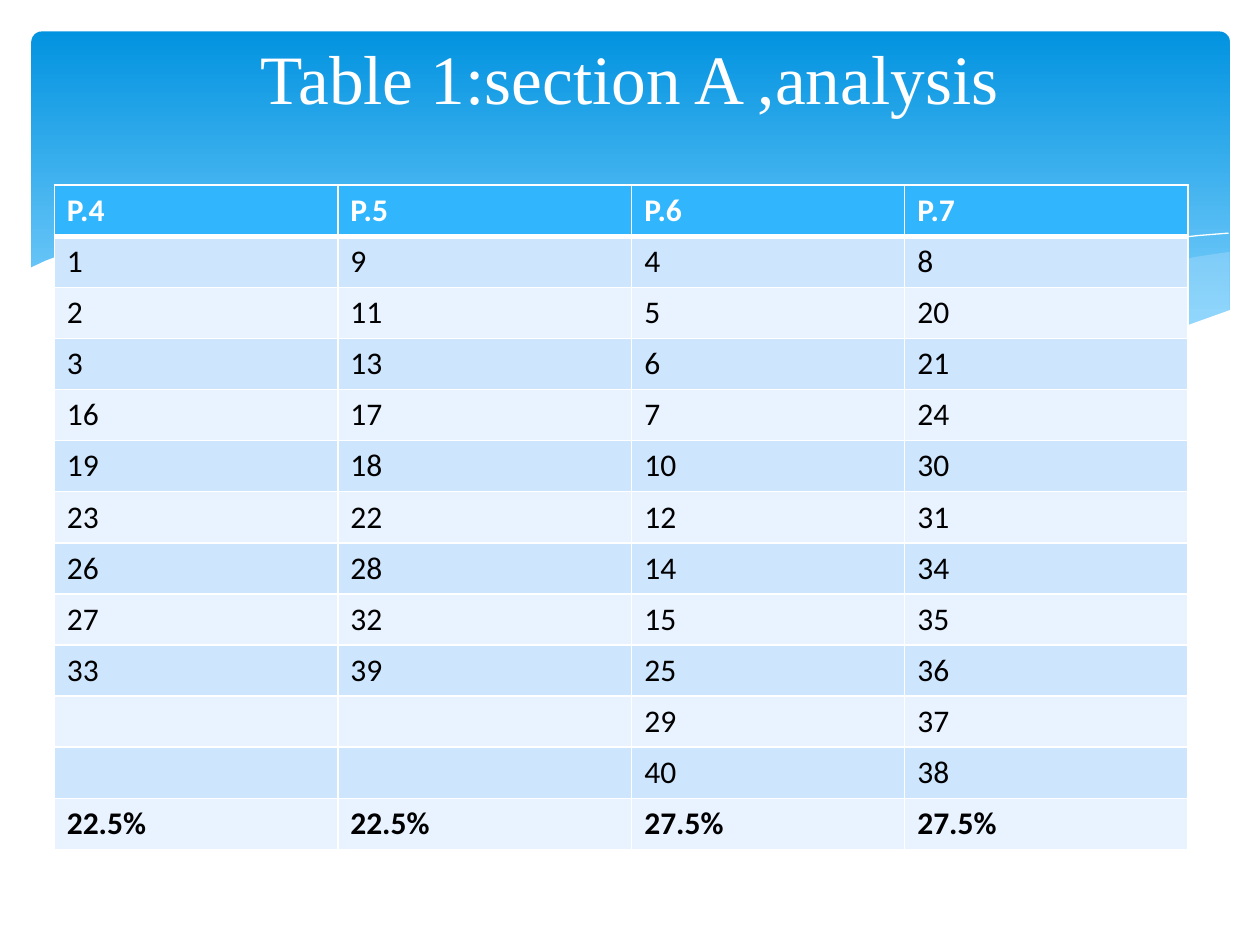
from lxml import etree
from pptx import Presentation
from pptx.dml.color import RGBColor
from pptx.enum.shapes import MSO_SHAPE
from pptx.enum.text import MSO_ANCHOR, MSO_AUTO_SIZE, PP_ALIGN
from pptx.oxml.ns import qn
from pptx.util import Pt

ROUND = MSO_SHAPE.ROUNDED_RECTANGLE
MIDDLE = MSO_ANCHOR.MIDDLE
FIXED = MSO_AUTO_SIZE.NONE
CENTER = PP_ALIGN.CENTER

COLORS = {
    "white": "FFFFFF",
    "black": "000000",
    "deep": "0293E0",
    "sky": "83D3FE",
    "mist": "C6E7FC",
    "head": "31B6FD",
    "odd": "CEE5FE",
    "even": "E8F3FF",
}

RIGHT = [
    (684, 126), (664.6, 128.9), (645, 133), (623.5, 137.5), (602, 142.6),
    (561.6, 152.6), (524, 160.6), (490, 167), (458, 172.8), (479.5, 175.7),
    (499.7, 177.8), (527, 180.7), (552, 181.4), (575, 181.4), (597, 180.7),
    (616, 178.6), (633.6, 175.7), (650, 171.4), (665, 167), (684.7, 159.8),
    (684.7, 126),
]
MID = [
    (625, 178.6), (584.6, 172.8), (540, 164.9), (490, 154.8), (435, 141.8),
    (402.5, 134), (371.5, 128), (343.4, 123), (300, 118), (255.6, 115),
    (218, 116.6), (188, 119.5), (228, 125.3), (273, 134), (305, 141.8),
    (363.6, 154.8), (414.7, 165.6), (460.8, 173.5), (502, 179.3),
    (538.6, 181.4), (571, 182), (599, 181.4),
]
FALL = [
    (204.5, 122.4), (229.7, 118.8), (270.7, 116.6), (319.7, 118),
    (365.8, 121.7), (419.8, 129), (460.8, 135.4), (505, 144.7),
    (554, 155.5), (607.7, 170), (635, 177.8),
]
RISE = [
    (423.4, 167), (465.8, 155.5), (520.6, 142.6), (562, 133),
    (605.5, 125.3), (637, 120), (666.7, 116.6), (684, 115.2),
]
FRONT = [
    (685.4, 159), (658.8, 168.5), (629, 175.7), (594, 180), (564.5, 181.4),
    (530, 180), (491.8, 176.4), (448.6, 170.6), (399, 162), (344, 149.8),
    (303.8, 140.4), (263.5, 131), (226.8, 123.8), (192, 118.8), (162, 116),
    (134, 114.5), (98, 114.5), (67.7, 116.6), (43, 121), (19.4, 126.7),
    (8, 131), (-1.4, 135.4), (-1.4, 218.9), (685.4, 218.9),
]

LISTS = {
    "P.4": ([1, 2, 3, 16, 19, 23, 26, 27, 33], "22.5%"),
    "P.5": ([9, 11, 13, 17, 18, 22, 28, 32, 39], "22.5%"),
    "P.6": ([4, 5, 6, 7, 10, 12, 14, 15, 25, 29, 40], "27.5%"),
    "P.7": ([8, 20, 21, 24, 30, 31, 34, 35, 36, 37, 38], "27.5%"),
}
WIDTHS = [162, 168, 156, 162]


def color(name):
    return RGBColor.from_string(COLORS[name])


def add_wave(slide, box, points, fill=None, alpha=100):
    left, top = box[:2]
    spots = [(Pt(left + x), Pt(top + y)) for x, y in points]
    form = slide.shapes.build_freeform(*spots[0])
    form.add_line_segments(spots[1:], close=fill is not None)
    wave = form.convert_to_shape()
    wave.shadow.inherit = False
    if fill is None:
        wave.fill.background()
        wave.line.color.rgb = color("white")
        wave.line.width = Pt(0)
        return
    wave.line.fill.background()
    wave.fill.solid()
    wave.fill.fore_color.rgb = color(fill)
    if alpha < 100:
        tint = wave.element.spPr.find(".//" + qn("a:srgbClr"))
        etree.SubElement(tint, qn("a:alpha"), val=str(alpha * 1000))


def add_banner(slide, box):
    band = slide.shapes.add_shape(ROUND, *map(Pt, box))
    band.adjustments[0] = 0.03
    band.shadow.inherit = False
    band.line.fill.background()
    band.fill.gradient()
    band.fill.gradient_angle = 270
    stops = band.fill.gradient_stops
    for stop, name, spot in zip(stops, ("deep", "sky"), (0, 0.9)):
        stop.color.rgb = color(name)
        stop.position = spot
    add_wave(slide, box, RIGHT, "mist", 29)
    add_wave(slide, box, MID, "mist", 40)
    add_wave(slide, box, FALL)
    add_wave(slide, box, RISE)
    add_wave(slide, box, FRONT, "white")


def set_edges(cell, base):
    props = cell._tc.get_or_add_tcPr()
    for side, width in (("L", 1), ("R", 1), ("T", 1), ("B", base)):
        edge = etree.SubElement(props, qn("a:ln" + side), w=str(Pt(width)))
        fill = etree.SubElement(edge, qn("a:solidFill"))
        etree.SubElement(fill, qn("a:srgbClr"), val=COLORS["white"])


def add_grid(slide, box):
    depth = max(len(items) for items, share in LISTS.values())
    count = depth + 2
    grid = slide.shapes.add_table(count, len(LISTS), *map(Pt, box)).table
    for row in grid.rows:
        row.height = Pt(box[3] / count)
    for col, (name, (items, share)) in enumerate(LISTS.items()):
        grid.columns[col].width = Pt(WIDTHS[col])
        blanks = [""] * (depth - len(items))
        for row, value in enumerate([name, *items, *blanks, share]):
            cell = grid.cell(row, col)
            head = row == 0
            set_edges(cell, 3 if head else 1)
            cell.fill.solid()
            tone = "head" if head else "odd" if row % 2 else "even"
            cell.fill.fore_color.rgb = color(tone)
            cell.text_frame.text = str(value)
            font = cell.text_frame.paragraphs[0].font
            for run in cell.text_frame.paragraphs[0].runs:
                font = run.font
            font.name = "Calibri"
            font.size = Pt(18)
            font.bold = row in (0, count - 1)
            font.color.rgb = color("white" if head else "black")


def set_title(slide, box, text):
    title = slide.shapes.title
    title.left, title.top, title.width, title.height = map(Pt, box)
    frame = title.text_frame
    frame.text = text
    frame.auto_size = FIXED
    frame.word_wrap = True
    frame.vertical_anchor = MIDDLE
    line = frame.paragraphs[0]
    line.alignment = CENTER
    font = line.runs[0].font
    font.name = "Times New Roman"
    font.size = Pt(39.6)
    font.color.rgb = color("white")
    title.element.getparent().append(title.element)


def main():
    deck = Presentation()
    deck.slide_width, deck.slide_height = Pt(720), Pt(540)
    slide = deck.slides.add_slide(deck.slide_layouts[5])
    add_banner(slide, (18, 18, 684.7, 194.4))
    add_grid(slide, (31, 105.8, sum(WIDTHS), 379.6))
    set_title(slide, (36, 21.6, 648, 44), "Table 1:section A ,analysis")
    deck.save("out.pptx")


if __name__ == "__main__":
    main()
